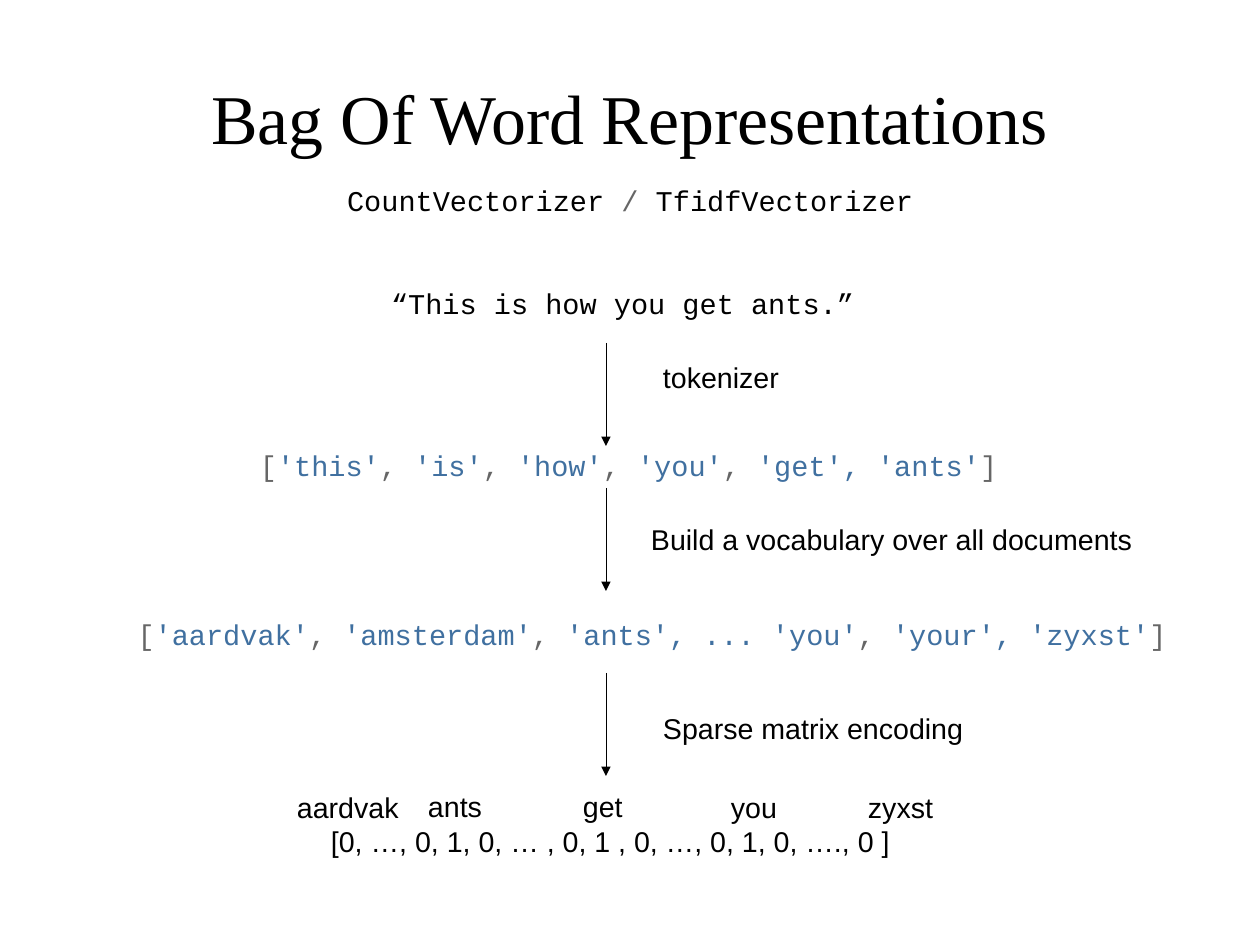
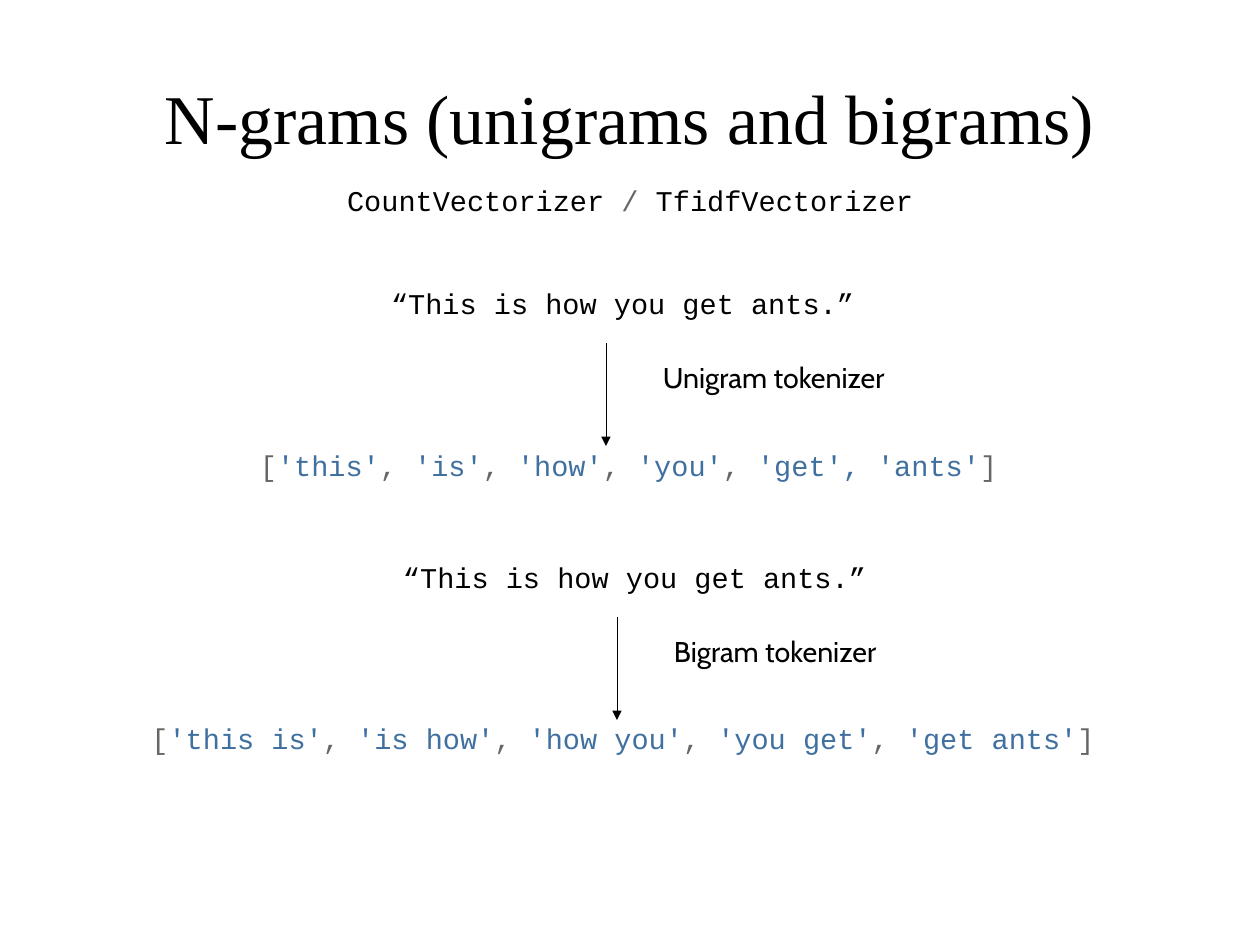
from dataclasses import dataclass

from lxml import etree
from pptx import Presentation
from pptx.dml.color import RGBColor
from pptx.enum.shapes import MSO_CONNECTOR
from pptx.enum.text import MSO_ANCHOR, MSO_AUTO_SIZE, PP_ALIGN
from pptx.oxml.ns import qn
from pptx.util import Pt

PX = 8000  # EMU per px
SLIDE_WIDTH, SLIDE_HEIGHT = 1260, 945


@dataclass(frozen=True)
class Theme:
    ink: RGBColor = RGBColor(0x00, 0x00, 0x00)
    punctuation: RGBColor = RGBColor(0x66, 0x66, 0x66)
    string: RGBColor = RGBColor(0x40, 0x70, 0xA0)
    title_font: str = "Times New Roman"
    code_font: str = "Courier New"
    label_font: str = "Arial"
    ngram_font: str = "Cabin"
    title_size: Pt = Pt(44)
    text_size: Pt = Pt(18)


THEME = Theme()

TITLE_BOX = (63, 38, 1134, 158)
SUBTITLE_BOX = (340, 183, 580)
LINE_HEIGHT = 33
LABEL_HEIGHT = 43
LABEL_INSETS = (11, 6)
ARROW_LENGTH = 103

SUBTITLE = [("CountVectorizer ", THEME.ink), ("/", THEME.punctuation),
            (" TfidfVectorizer", THEME.ink)]
SENTENCE = "“This is how you get ants.”"
WORDS = ["'this'", "'is'", "'how'", "'you'", "'get', 'ants'"]
VOCABULARY = ["'aardvak'", "'amsterdam'", "'ants', ... 'you'", "'your', 'zyxst'"]
BIGRAMS = ["'this is'", "'is how'", "'how you'", "'you get'", "'get ants'"]
VECTOR = "[0, …, 0, 1, 0, … , 0, 1 , 0, …, 0, 1, 0, …., 0 ]"

# Boxes are left, top, width; arrows are left, top.
SLIDES = [
    {
        "title": "Bag Of Word Representations",
        "font": THEME.label_font,
        "sentences": [(354, 286, 537)],
        "lists": [(WORDS, (240, 448, 777)), (VOCABULARY, (126, 617, 1052))],
        "arrows": [(606, 343), (606, 488), (606, 673)],
        "labels": [
            ("tokenizer", (652, 354, 194)),
            ("Build a vocabulary over all documents", (640, 516, 537)),
            ("Sparse matrix encoding", (652, 705, 354)),
        ],
        "encoding": [
            (VECTOR, (320, 818, 583)),
            ("aardvak", (286, 784, 126)),
            ("ants", (417, 783, 114)),
            ("get", (572, 783, 91)),
            ("you", (720, 784, 160)),
            ("zyxst", (857, 784, 103)),
        ],
    },
    {
        "title": "N-grams (unigrams and bigrams)",
        "font": THEME.ngram_font,
        "sentences": [(354, 286, 537), (366, 560, 537)],
        "lists": [(WORDS, (240, 448, 777)), (BIGRAMS, (126, 721, 994))],
        "arrows": [(606, 343), (617, 617)],
        "labels": [
            ("Unigram tokenizer", (652, 354, 331)),
            ("Bigram tokenizer", (663, 628, 331)),
        ],
        "encoding": [],
    },
]


def emu(*lengths):
    return [length * PX for length in lengths]


def set_insets(frame, horizontal, vertical):
    frame.margin_left = frame.margin_right = horizontal * PX
    frame.margin_top = frame.margin_bottom = vertical * PX


def add_run(paragraph, text, font, size, color):
    run = paragraph.add_run()
    run.text = text
    run.font.name = font
    run.font.size = size
    run.font.color.rgb = color


def add_text(shapes, runs, box, height, font, insets, align):
    frame = shapes.add_textbox(*emu(*box, height)).text_frame
    frame.word_wrap = True
    frame.auto_size = MSO_AUTO_SIZE.SHAPE_TO_FIT_TEXT
    set_insets(frame, *insets)
    paragraph = frame.paragraphs[0]
    paragraph.alignment = align
    for text, color in runs:
        add_run(paragraph, text, font, THEME.text_size, color)


def add_code(shapes, runs, box):
    add_text(shapes, runs, box, LINE_HEIGHT, THEME.code_font, (0, 0),
             PP_ALIGN.CENTER)


def add_label(shapes, text, box, font):
    add_text(shapes, [(text, THEME.ink)], box, LABEL_HEIGHT, font,
             LABEL_INSETS, PP_ALIGN.LEFT)


def list_runs(items):
    """Colour the items as strings, the brackets and commas as punctuation."""
    runs = [("[", THEME.punctuation)]
    for index, item in enumerate(items):
        if index:
            runs.append((", ", THEME.punctuation))
        runs.append((item, THEME.string))
    return runs + [("]", THEME.punctuation)]


def add_arrow(shapes, left, top):
    """Draw a hairline downwards, with a triangle at its end."""
    arrow = shapes.add_connector(MSO_CONNECTOR.STRAIGHT,
                                 *emu(left, top, left, top + ARROW_LENGTH))
    arrow.line.color.rgb = THEME.ink
    properties = arrow.element.spPr
    outline = properties.find(qn("a:ln"))
    outline.set("w", "0")  # line.width drops a zero
    etree.SubElement(outline, qn("a:tailEnd"), type="triangle")
    etree.SubElement(properties, qn("a:effectLst"))


def style_layout(layout):
    """Place the title once, for every slide of the layout."""
    title = layout.placeholders[0]
    title.left, title.top, title.width, title.height = emu(*TITLE_BOX)
    set_insets(title.text_frame, 0, 0)
    title.text_frame.vertical_anchor = MSO_ANCHOR.MIDDLE


def build_slide(deck, layout, content):
    shapes = deck.slides.add_slide(layout).shapes
    heading = shapes.title.text_frame.paragraphs[0]
    heading.alignment = PP_ALIGN.CENTER
    add_run(heading, content["title"], THEME.title_font, THEME.title_size, THEME.ink)

    add_code(shapes, SUBTITLE, SUBTITLE_BOX)
    for box in content["sentences"]:
        add_code(shapes, [(SENTENCE, THEME.ink)], box)
    for items, box in content["lists"]:
        add_code(shapes, list_runs(items), box)
    for left, top in content["arrows"]:
        add_arrow(shapes, left, top)
    for text, box in content["labels"]:
        add_label(shapes, text, box, content["font"])
    if content["encoding"]:
        encoding = shapes.add_group_shape()
        for text, box in content["encoding"]:
            add_label(encoding.shapes, text, box, content["font"])


def main():
    deck = Presentation()
    deck.slide_width, deck.slide_height = emu(SLIDE_WIDTH, SLIDE_HEIGHT)
    title_only = deck.slide_layouts.get_by_name("Title Only")
    style_layout(title_only)
    for content in SLIDES:
        build_slide(deck, title_only, content)
    deck.save("out.pptx")


if __name__ == "__main__":
    main()
